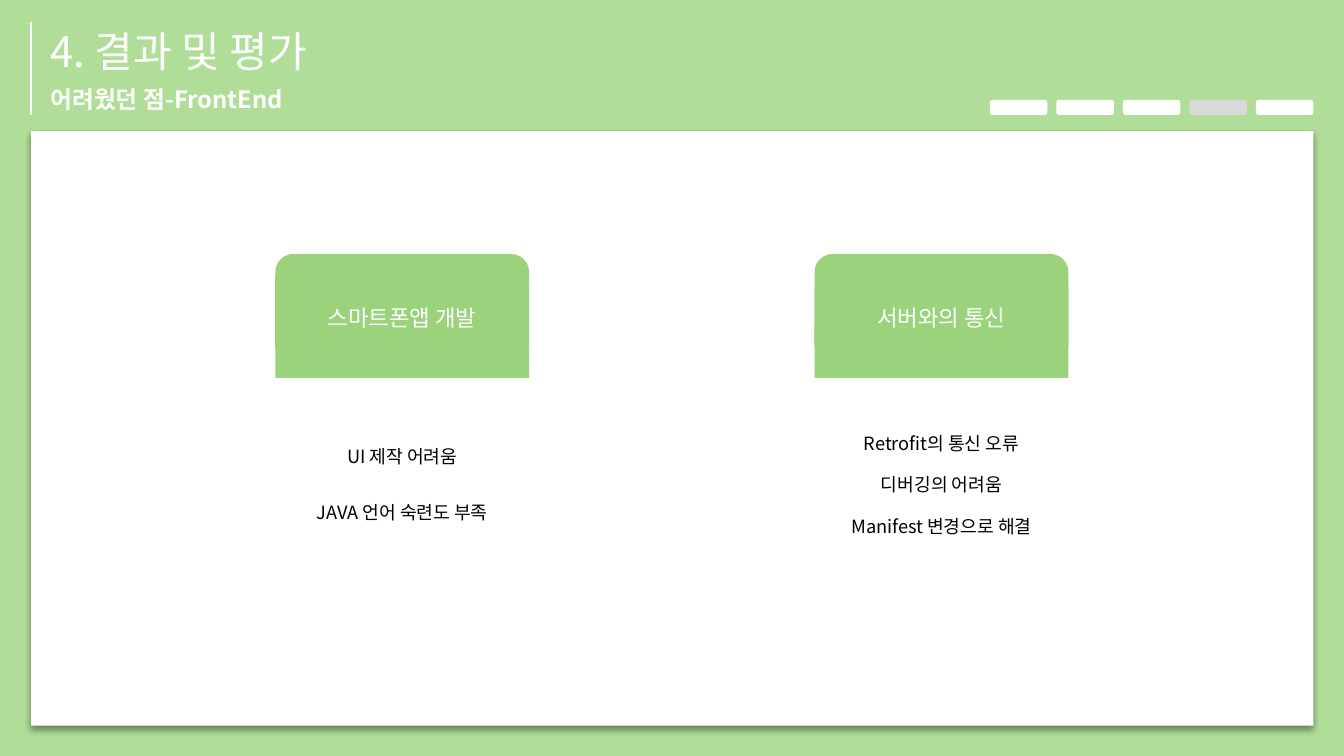
from lxml import etree
from pptx import Presentation
from pptx.dml.color import RGBColor
from pptx.enum import shapes, text
from pptx.oxml import ns
from pptx.util import Pt

FONT = "Noto Sans CJK KR"
WHITE = RGBColor(0xFF, 0xFF, 0xFF)
BLACK = RGBColor(0, 0, 0)
GRAY = RGBColor(0xD9, 0xD9, 0xD9)
LIGHT_GREEN = RGBColor(0xB0, 0xDD, 0x97)
GREEN = RGBColor(0x9A, 0xD3, 0x7B)
RECT = shapes.MSO_SHAPE.RECTANGLE
ROUND = shapes.MSO_SHAPE.ROUNDED_RECTANGLE

MARGIN = 22.3
PANEL = (MARGIN, 93.6, 915.8, 424.8)
HEADER = (MARGIN, 15.8, 915.8, 66.4)
CARD_TOP, CARD_WIDTH, CARD_HEIGHT = 181.4, 181.4, 249.1
CARDS = [
    (581.8, "서버와의 통신",
     ["Retrofit의 통신 오류", "디버깅의 어려움", "Manifest 변경으로 해결"], 14),
    (196.6, "스마트폰앱 개발", ["UI 제작 어려움", "JAVA 언어 숙련도 부족"], 24),
]


def add_block(page, kind, box, color):
    block = page.shapes.add_shape(kind, *map(Pt, box))
    block.shadow.inherit = False
    block.fill.solid()
    block.fill.fore_color.rgb = color
    block.line.fill.background()
    return block


def write(shape, box, lines, size, color, bold=False, gap=0,
          align=text.PP_ALIGN.LEFT):
    """Place a text shape and fill it with one paragraph per line."""
    shape.left, shape.top, shape.width, shape.height = map(Pt, box)
    frame = shape.text_frame
    frame.text = "\n".join(lines)
    frame.word_wrap = True
    frame.auto_size = text.MSO_AUTO_SIZE.NONE
    frame.vertical_anchor = text.MSO_ANCHOR.MIDDLE
    frame.margin_top = frame.margin_bottom = 0
    for number, para in enumerate(frame.paragraphs):
        para.alignment = align
        para.line_spacing = 1.0
        para.space_before = Pt(gap if number else 0)
        para.space_after = Pt(0)
        props = para._p.get_or_add_pPr()
        props.set("marL", "0")
        props.set("indent", "0")
        etree.SubElement(props, ns.qn("a:buNone"))
        for span in para.runs:
            span.font.name = FONT
            span.font.size = Pt(size)
            span.font.bold = bold
            span.font.color.rgb = color
            east = etree.SubElement(span.font._element, ns.qn("a:ea"))
            east.set("typeface", FONT)


def add_panel(page, box):
    panel = add_block(page, RECT, box, WHITE)
    effects = panel._element.spPr.find(ns.qn("a:effectLst"))
    shadow = etree.SubElement(effects, ns.qn("a:outerShdw"), blurRad=str(Pt(4)),
                              dist=str(Pt(3)), dir="5400000", algn="t",
                              rotWithShape="0")
    tone = etree.SubElement(shadow, ns.qn("a:srgbClr"), val="000000")
    etree.SubElement(tone, ns.qn("a:alpha"), val="40000")


def add_header(page, box):
    left, top, width, height = box
    # Vertical rule beside the titles
    rule = page.shapes.add_connector(shapes.MSO_CONNECTOR.STRAIGHT, Pt(left),
                                     Pt(top), Pt(left), Pt(top + height))
    rule.line.color.rgb = WHITE
    rule.line.width = Pt(1.5)
    etree.SubElement(rule._element.spPr, ns.qn("a:effectLst"))
    # Title and subtitle
    write(page.shapes.title, (left + 6.5, top - 1.3, width - 6.5, 44),
          ["4. 결과 및 평가"], 30, WHITE)
    subtitle = page.shapes.add_textbox(0, 0, 0, 0)
    write(subtitle, (left + 6.5, top + 41.2, width - 6.5, 28),
          ["어려웠던 점-FrontEnd"], 17, WHITE, bold=True)


def add_progress(page, box, count, current):
    left, top, width, height = box
    pitch, tab_width = 47.5, 41
    first = left + width - tab_width - (count - 1) * pitch
    for step in range(count):
        add_block(page, ROUND, (first + step * pitch, top, tab_width, height),
                  GRAY if step == current else WHITE)


def add_card(page, box, heading, body, items, gap):
    left, top, width, height = box
    # Card with a rounded top and a square lower edge on its header
    card = add_block(page, ROUND, box, WHITE)
    card.adjustments[0] = 0.06
    add_block(page, ROUND, (left, top, width, 77.8), GREEN)
    add_block(page, RECT, (left, top + 23, width, 65.5), GREEN)
    label = page.shapes.add_textbox(0, 0, 0, 0)
    write(label, (left + 20, top + 32, width - 40, 26.6), [heading], 16, WHITE,
          align=text.PP_ALIGN.CENTER)
    # Items, centred in the lower part
    write(body, (left + 9, top + 110, width - 18, 109), items, 13, BLACK,
          gap=gap, align=text.PP_ALIGN.CENTER)
    page.shapes._spTree.append(body._element)


def main():
    deck = Presentation()
    deck.slide_width, deck.slide_height = Pt(960), Pt(540)
    page = deck.slides.add_slide(deck.slide_layouts[3])
    page.background.fill.solid()
    page.background.fill.fore_color.rgb = LIGHT_GREEN
    bodies = [page.placeholders[1], page.placeholders[2]]

    add_panel(page, PANEL)
    add_header(page, HEADER)
    add_progress(page, (MARGIN, 71.3, 915.8, 10.8), count=5, current=3)
    for body, (left, heading, items, gap) in zip(bodies, CARDS):
        add_card(page, (left, CARD_TOP, CARD_WIDTH, CARD_HEIGHT),
                 heading, body, items, gap)
    deck.save("out.pptx")


if __name__ == "__main__":
    main()
